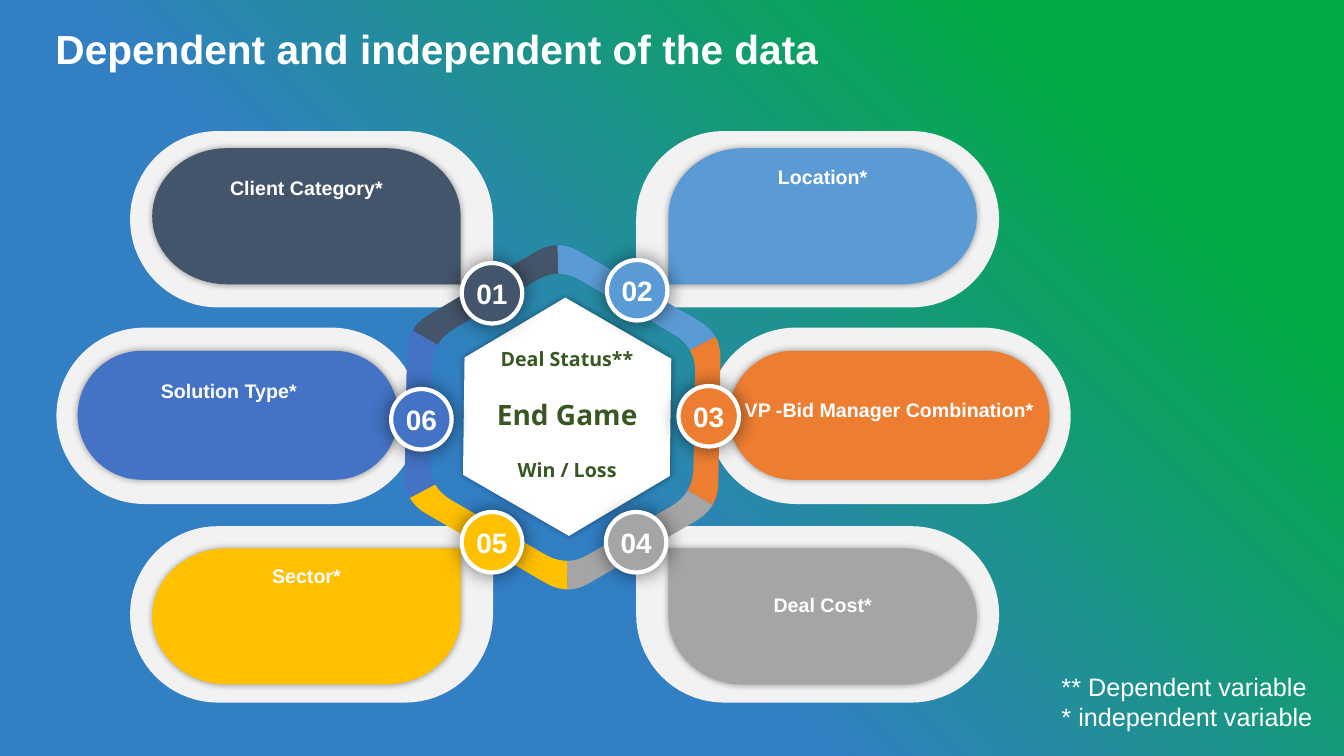
import math

import pptx
import pptx.dml.color
import pptx.enum.shapes
import pptx.enum.text
import pptx.oxml
import pptx.oxml.ns
import pptx.util

PX = 9144  # EMU per px, 100 px to the inch
SHAPE = pptx.enum.shapes.MSO_SHAPE
ALIGN = pptx.enum.text.PP_ALIGN
MIDDLE = pptx.enum.text.MSO_ANCHOR.MIDDLE

COLORS = {
    "white": "FFFFFF", "shell": "F2F2F2", "green text": "385723",
    "background blue": "327FC4", "background green": "00AC41",
    "navy": "44546A", "sky": "5B9BD5", "orange": "ED7D31",
    "grey": "A5A5A5", "gold": "FFC000", "blue": "4472C4",
}

TIGHT = {"word_wrap": True, "vertical_anchor": MIDDLE, "margin_left": 0,
         "margin_right": 0, "margin_top": 0, "margin_bottom": 0}
LABEL = {"name": "Arial", "size": pptx.util.Pt(14), "bold": True}
NUMBER = {"name": "Arial", "size": pptx.util.Pt(20), "bold": True}
NOTE = {"name": "Arial", "size": pptx.util.Pt(18)}
TITLE = {"name": "Arial", "size": pptx.util.Pt(29), "bold": True}
STATUS = {"name": "Noto Sans", "size": pptx.util.Pt(14), "bold": True}
END_GAME = {**STATUS, "size": pptx.util.Pt(20)}

# Label, colour, shell corner, core box, square corner, label corner, disc corner;
# listed clockwise, as numbered
VARIABLES = [
    ("Client Category*", "navy", (129, 130), (151, 147, 306, 135), "bottom right",
     (157, 173), (458, 261)),
    ("Location*", "sky", (631, 130), (663, 147, 306, 135), "bottom left",
     (669, 162), (602, 258)),
    ("VP -Bid Manager Combination*", "orange", (702, 325), (723, 348, 318, 128), None,
     (735, 393), (673, 383)),
    ("Deal Cost*", "grey", (631, 522), (663, 544, 306, 135), "top left",
     (669, 587), (601, 508)),
    ("Sector*", "gold", (129, 522), (151, 544, 306, 135), "top right",
     (157, 558), (458, 508)),
    ("Solution Type*", "blue", (56, 325), (77, 348, 318, 128), None,
     (80, 374), (388, 386)),
]

RING_CENTER = (558, 414)
RING_CORNERS = [(404, 325), (553, 237), (715, 331), (712, 504), (563, 591), (401, 497)]
RING_INNER_SCALE = 0.84
RING_ROUNDING = 25


def rgb(color):
    return pptx.dml.color.RGBColor.from_string(COLORS[color])


def emu(lengths):
    return [round(length * PX) for length in lengths]


def set_all(target, values):
    for name, value in values.items():
        setattr(target, name, value)


def paint(shape, color, shadow=None):
    """Fill a shape without outline; shadow is (opacity %, blur in points)."""
    shape.fill.solid()
    shape.fill.fore_color.rgb = rgb(color)
    shape.line.fill.background()
    shape.shadow.inherit = False
    if shadow:
        opacity, blur = shadow
        effects = shape._element.spPr.find(pptx.oxml.ns.qn("a:effectLst"))
        effects.append(pptx.oxml.parse_xml(
            f'<a:outerShdw {pptx.oxml.ns.nsdecls("a")} blurRad="{blur * 12700}" '
            f'dist="0" dir="0" algn="ctr" rotWithShape="0"><a:srgbClr val="000000">'
            f'<a:alpha val="{opacity * 1000}"/></a:srgbClr></a:outerShdw>'))


def write(frame, lines, color, frame_format, para_format):
    """Fill a text frame with (text, font format) lines."""
    set_all(frame, frame_format)
    for index, (text, font_format) in enumerate(lines):
        para = frame.paragraphs[0] if index == 0 else frame.add_paragraph()
        set_all(para, para_format)
        if index == 0:
            para.space_before = pptx.util.Pt(0)
        span = para.add_run()
        span.text = text
        set_all(span.font, font_format)
        span.font.color.rgb = rgb(color)


def add_text(page, box, lines, color, frame_format, para_format):
    frame = page.shapes.add_textbox(*emu(box)).text_frame
    write(frame, lines, color, frame_format, para_format)


def add_outline(page, points, color, shadow=None):
    first, *rest = [emu(point) for point in points]
    builder = page.shapes.build_freeform(*first)
    builder.add_line_segments(rest, close=True)
    paint(builder.convert_to_shape(), color, shadow)


def add_bubble(page, box, radius, square_corner, color, shadow=None):
    """Pill shape, with one corner left square when it is named."""
    if square_corner is None:
        pill = page.shapes.add_shape(SHAPE.ROUNDED_RECTANGLE, *emu(box))
        pill.adjustments[0] = 0.5
        paint(pill, color, shadow)
        return
    left, top, width, height = box
    points = []
    for name, start, side_x, side_y in [("top left", 180, 0, 0), ("top right", 270, 1, 0),
                                        ("bottom right", 0, 1, 1), ("bottom left", 90, 0, 1)]:
        if name == square_corner:
            points.append((left + side_x * width, top + side_y * height))
            continue
        center_x = left + width - radius if side_x else left + radius
        for degrees in range(start, start + 91, 5):
            angle = math.radians(degrees)
            points.append((center_x + radius * math.cos(angle),
                           top + height / 2 * (1 + math.sin(angle))))
    add_outline(page, points, color, shadow)


def toward(start, end, distance):
    share = distance / math.dist(start, end)
    return tuple(a + (b - a) * share for a, b in zip(start, end))


def rounded_corner(before, corner, after):
    """Points along the curve that rounds a corner; the middle one is the split."""
    start = toward(corner, before, RING_ROUNDING)
    end = toward(corner, after, RING_ROUNDING)
    steps = [step / 12 for step in range(13)]
    return [tuple((1 - t) ** 2 * a + 2 * t * (1 - t) * b + t * t * c
                  for a, b, c in zip(start, corner, end)) for t in steps]


def ring_edge(corners, index):
    """One side of the ring, from the middle of a corner to the middle of the next."""
    a, b, c, d = [corners[(index + step) % 6] for step in (-1, 0, 1, 2)]
    return rounded_corner(a, b, c)[6:] + rounded_corner(b, c, d)[:7]


def add_ring(page):
    inner = [tuple(c + (p - c) * RING_INNER_SCALE for p, c in zip(corner, RING_CENTER))
             for corner in RING_CORNERS]
    for index, variable in enumerate(VARIABLES):
        points = ring_edge(RING_CORNERS, index) + ring_edge(inner, index)[::-1]
        add_outline(page, points, variable[1])


def add_disc(page, corner, number, color):
    disc = page.shapes.add_shape(SHAPE.OVAL, *emu((*corner, 60, 60)))
    paint(disc, color, (53, 14))
    disc.line.color.rgb = rgb("white")
    disc.line.width = pptx.util.Pt(3)
    write(disc.text_frame, [(f"{number:02}", NUMBER)], "white", TIGHT,
          {"alignment": ALIGN.CENTER})


def add_hexagon(page):
    hexagon = page.shapes.add_shape(SHAPE.HEXAGON, *emu((445, 312, 235, 203)))
    hexagon.adjustments[0] = 0.28
    hexagon.rotation = 30
    paint(hexagon, "white", (40, 5))


def set_background(page):
    fill = page.background.fill
    fill.gradient()
    fill.gradient_angle = 45
    stops = [("background blue", 0.39), ("background green", 0.84)]
    for stop, (color, position) in zip(fill.gradient_stops, stops):
        stop.color.rgb = rgb(color)
        stop.position = position


def add_title(page, text):
    title = page.shapes.title
    set_all(title, dict(zip(("left", "top", "width", "height"), emu((45, 22, 1150, 58)))))
    write(title.text_frame, [(text, TITLE)], "white",
          {"vertical_anchor": MIDDLE, "auto_size": pptx.enum.text.MSO_AUTO_SIZE.NONE},
          {"alignment": ALIGN.LEFT, "line_spacing": 0.9})


def main():
    deck = pptx.Presentation()
    deck.slide_width, deck.slide_height = emu((1333, 750))
    page = deck.slides.add_slide(deck.slide_layouts[5])
    set_background(page)
    add_title(page, "Dependent and independent of the data")

    for label, color, shell, core, square, label_corner, _ in VARIABLES:
        add_bubble(page, (*shell, 360, 175), 87, square, "shell")
        add_bubble(page, core, 74, square, color, (40, 5))
        add_text(page, (*label_corner, 294, 24), [(label, LABEL)], "white", TIGHT,
                 {"alignment": ALIGN.CENTER, "line_spacing": 1.1})

    add_hexagon(page)
    add_ring(page)
    for number, variable in enumerate(VARIABLES, 1):
        add_disc(page, variable[-1], number, variable[1])

    add_text(page, (484, 347, 157, 128),
             [("Deal Status**", STATUS), ("End Game", END_GAME), ("Win / Loss", STATUS)],
             "green text", TIGHT,
             {"alignment": ALIGN.CENTER, "space_before": pptx.util.Pt(19)})
    add_text(page, (1043, 661, 280, 71),
             [("** Dependent variable", NOTE), ("* independent variable", NOTE)],
             "white", {"word_wrap": True}, {"alignment": ALIGN.LEFT})
    deck.save("out.pptx")


if __name__ == "__main__":
    main()
